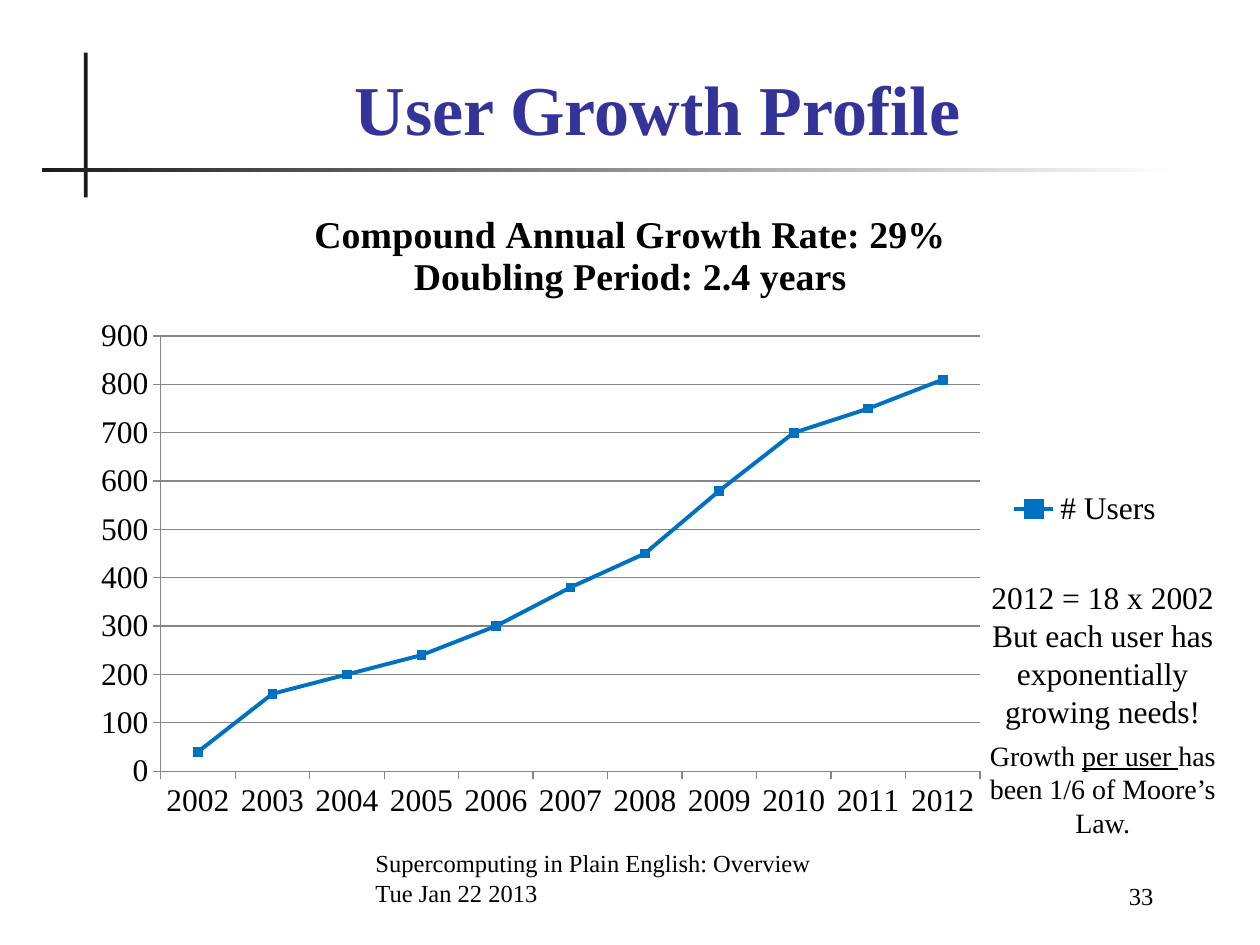
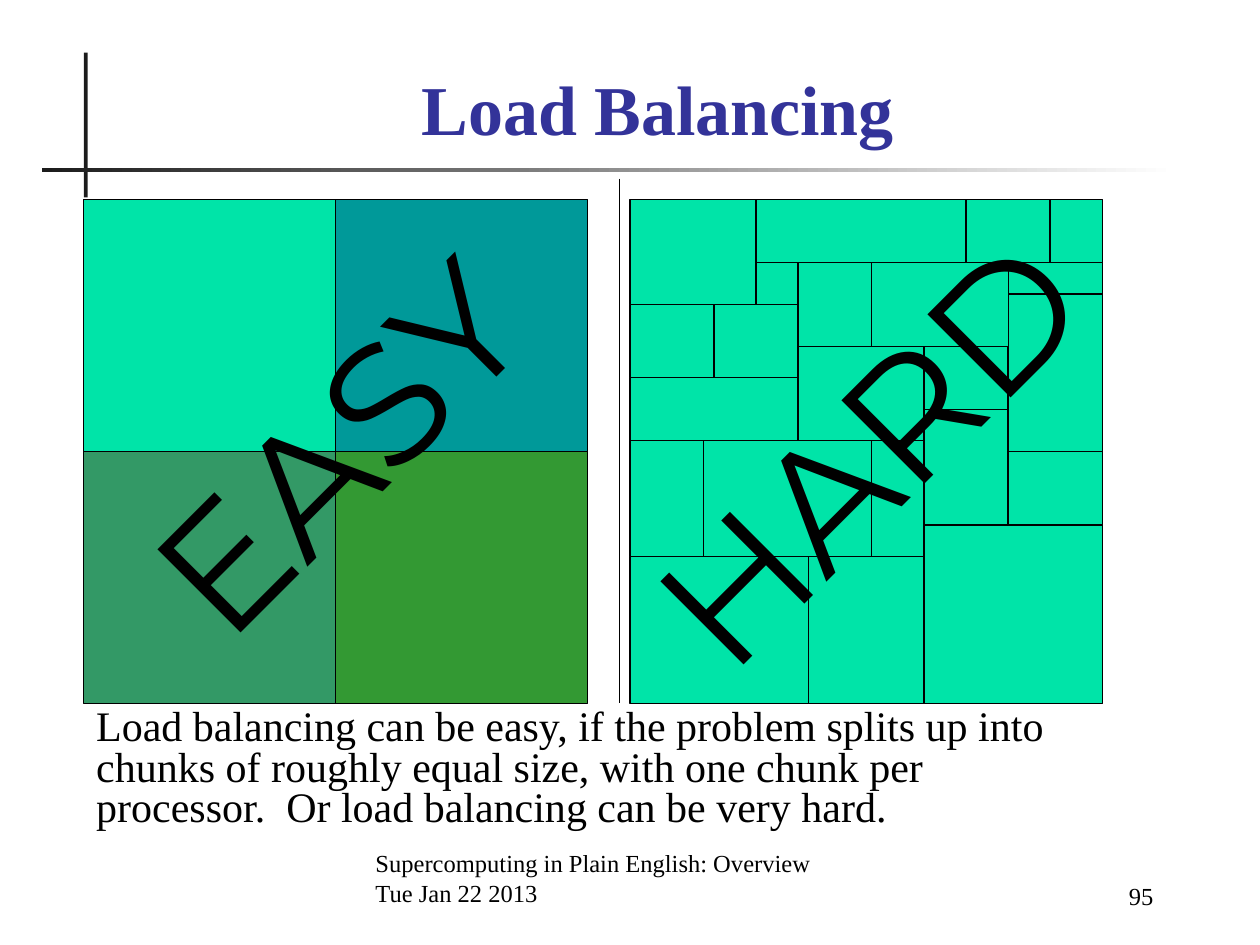
import pptx
import pptx.chart.data
import pptx.dml.color
import pptx.enum.chart
import pptx.enum.shapes
import pptx.enum.text
import pptx.oxml
import pptx.oxml.ns
import pptx.util
from pptx.util import Cm

COLORS = {
    "ink": "000000", "bar": "1C1C1C", "paper": "FFFFFF", "title": "333399",
    "users": "0070C0", "axis": "868686", "mint": "00E4A8", "teal": "009999",
    "sage": "339966", "green": "339933",
}
SERIF = "Times New Roman"
SANS = "Montserrat"
ALIGN = pptx.enum.text.PP_ALIGN
ANCHOR = pptx.enum.text.MSO_ANCHOR
RECT = pptx.enum.shapes.MSO_SHAPE.RECTANGLE
FOOTER = ["Supercomputing in Plain English: Overview", "Tue Jan 22 2013"]

USERS = {
    2002: 40, 2003: 160, 2004: 200, 2005: 240, 2006: 300, 2007: 380,
    2008: 450, 2009: 580, 2010: 700, 2011: 750, 2012: 810,
}
EASY_GRID = (24, 24)
EASY_COLORS = ["mint", "teal", "sage", "green"]
HARD_GRID = (45, 48)
HARD_CHUNKS = [
    (0, 0, 12, 10), (12, 0, 20, 6), (32, 0, 8, 6), (40, 0, 5, 6),
    (12, 6, 4, 4), (16, 6, 7, 8), (23, 6, 13, 8), (36, 6, 9, 3),
    (36, 9, 9, 15), (0, 10, 8, 7), (8, 10, 8, 7), (16, 14, 12, 9),
    (28, 14, 8, 6), (0, 17, 16, 6), (28, 20, 8, 11), (0, 23, 7, 11),
    (7, 23, 16, 11), (23, 23, 5, 11), (36, 24, 9, 7), (28, 31, 17, 17),
    (0, 34, 17, 14), (17, 34, 11, 14),
]


def rgb(name):
    """Return the named colour."""
    return pptx.dml.color.RGBColor.from_string(COLORS[name])


def style_font(font, size, color="ink", name=SERIF, bold=False):
    """Set the face, size, colour and weight of a font."""
    font.name, font.size, font.bold = name, pptx.util.Pt(size), bold
    font.color.rgb = rgb(color)


def add_rect(s, box, color, outlined=False):
    """Add a plain rectangle."""
    sp = s.shapes.add_shape(RECT, *box)
    sp.shadow.inherit = False
    sp.fill.solid()
    sp.fill.fore_color.rgb = rgb(color)
    if outlined:
        sp.line.color.rgb = rgb("ink")
        sp.line.width = pptx.util.Pt(0.75)
    else:
        sp.line.fill.background()
    return sp


def add_text(s, box, lines, size, align=ALIGN.LEFT, anchor=ANCHOR.TOP, name=SERIF):
    """Add a wrapping text box with one paragraph per line."""
    sp = s.shapes.add_textbox(*box)
    tf = sp.text_frame
    tf.word_wrap = True
    tf.vertical_anchor = anchor
    tf.text = "\n".join(lines)
    for p in tf.paragraphs:
        p.alignment = align
        style_font(p.font, size, name=name)
    return sp


def add_base_slide(prs, title, number):
    """Add a slide with the shared bars, title, footer and number."""
    s = prs.slides.add_slide(prs.slide_layouts[5])
    add_rect(s, (Cm(1.69), Cm(1.06), Cm(0.08), Cm(2.92)), "bar")
    rule = add_rect(s, (Cm(0.85), Cm(3.39), Cm(22.86), Cm(0.08)), "bar")
    rule.fill.gradient()
    rule.fill.gradient_angle = 0
    for stop, color in zip(rule.fill.gradient_stops, ("bar", "paper")):
        stop.color.rgb = rgb(color)

    sp = s.shapes.title
    sp.left, sp.top, sp.width, sp.height = Cm(2.12), Cm(1.27), Cm(22.28), Cm(1.88)
    tf = sp.text_frame
    tf.text = title
    tf.auto_size = pptx.enum.text.MSO_AUTO_SIZE.NONE
    tf.vertical_anchor = ANCHOR.BOTTOM
    p = tf.paragraphs[0]
    p.alignment = ALIGN.CENTER
    style_font(p.font, 40, "title", bold=True)

    add_text(s, (Cm(7.32), Cm(17.14), Cm(11.1), Cm(1.27)), FOOTER, 14,
             anchor=ANCHOR.BOTTOM)
    add_text(s, (Cm(19.9), Cm(17.2), Cm(3.6), Cm(1.27)), [str(number)], 14,
             ALIGN.RIGHT, ANCHOR.BOTTOM)
    return s


def set_plot_area(chart, x, y, w, h):
    """Fix the inner plot area as fractions of the chart."""
    area = chart._chartSpace.chart.plotArea
    for old in area.findall(pptx.oxml.ns.qn("c:layout")):
        area.remove(old)
    sizes = "".join(f'<c:{tag} val="{val}"/>' for tag, val in zip("xywh", (x, y, w, h)))
    area.insert(0, pptx.oxml.parse_xml(
        f'<c:layout {pptx.oxml.ns.nsdecls("c")}><c:manualLayout>'
        '<c:layoutTarget val="inner"/><c:xMode val="edge"/><c:yMode val="edge"/>'
        f'{sizes}</c:manualLayout></c:layout>'))


def add_users_chart(s, box):
    """Add the line chart of users per year."""
    data = pptx.chart.data.CategoryChartData()
    data.categories = [str(year) for year in USERS]
    data.add_series("# Users", USERS.values())
    kind = pptx.enum.chart.XL_CHART_TYPE.LINE_MARKERS
    chart = s.shapes.add_chart(kind, *box, data).chart
    style_font(chart.font, 18)

    chart.has_title = True
    tf = chart.chart_title.text_frame
    tf.text = "Compound Annual Growth Rate: 29%\nDoubling Period: 2.4 years"
    for p in tf.paragraphs:
        style_font(p.font, 21.6, bold=True)
    chart.chart_title.include_in_layout = False
    chart.has_legend = True
    chart.legend.position = pptx.enum.chart.XL_LEGEND_POSITION.RIGHT
    chart.legend.include_in_layout = False

    values = chart.value_axis
    values.minimum_scale, values.maximum_scale, values.major_unit = 0, 900, 100
    values.has_major_gridlines = True
    for line in (values.format.line, values.major_gridlines.format.line,
                 chart.category_axis.format.line):
        line.color.rgb = rgb("axis")
        line.width = pptx.util.Pt(0.75)
    for axis in (values, chart.category_axis):
        axis.major_tick_mark = pptx.enum.chart.XL_TICK_MARK.OUTSIDE

    chart.plots[0].vary_by_categories = False
    series = chart.plots[0].series[0]
    series.smooth = False
    series.format.line.color.rgb = rgb("users")
    series.format.line.width = pptx.util.Pt(2.25)
    marker = series.marker
    marker.style = pptx.enum.chart.XL_MARKER_STYLE.SQUARE
    marker.size = 5
    marker.format.fill.solid()
    marker.format.fill.fore_color.rgb = rgb("users")
    marker.format.line.color.rgb = rgb("users")
    set_plot_area(chart, 0.07, 0.23, 0.75, 0.68)


def add_growth_note(s, box):
    """Add the remark on growth beside the chart."""
    lines = ["2012 = 18 x 2002", "But each user has exponentially growing needs!", ""]
    tf = add_text(s, box, lines, 18, ALIGN.CENTER).text_frame
    p = tf.paragraphs[-1]
    p.space_before = pptx.util.Pt(5)
    style_font(p.font, 16)
    for text, underline in [("Growth ", False), ("per user ", True),
                            ("has been 1/6 of Moore’s Law.", False)]:
        r = p.add_run()
        r.text = text
        r.font.underline = underline


def add_chunks(s, box, grid, chunks):
    """Fill a box with chunks given as grid cells and a colour."""
    left, top, width, height = box
    cell_w, cell_h = width / grid[0], height / grid[1]
    for (x, y, w, h), color in chunks:
        add_rect(s, (round(left + x * cell_w), round(top + y * cell_h),
                     round(w * cell_w), round(h * cell_h)), color, outlined=True)


def add_divider(s, x, top, bottom):
    """Add the vertical line between the two squares."""
    line = s.shapes.add_connector(pptx.enum.shapes.MSO_CONNECTOR.STRAIGHT,
                                  x, top, x, bottom)
    line.line.color.rgb = rgb("ink")
    line.line.width = pptx.util.Pt(0.75)
    line._element.spPr.append(pptx.oxml.parse_xml(
        f'<a:effectLst {pptx.oxml.ns.nsdecls("a")}/>'))


def add_slanted_word(s, box, word):
    """Write a large word rising across a square."""
    sp = add_text(s, box, [word], 96, ALIGN.CENTER, name=SANS)
    sp.rotation = 315


def build_growth_slide(prs):
    """Build the slide on user growth."""
    s = add_base_slide(prs, "User Growth Profile", 33)
    add_users_chart(s, (Cm(1.7), Cm(3.81), Cm(22.02), Cm(12.9)))
    add_growth_note(s, (Cm(19.69), Cm(11.53), Cm(5.08), Cm(5.56)))


def build_balancing_slide(prs):
    """Build the slide on load balancing."""
    s = add_base_slide(prs, "Load Balancing", 95)
    top, side = Cm(4.02), Cm(10.16)
    quarters = [((i % 2 * 12, i // 2 * 12, 12, 12), color)
                for i, color in enumerate(EASY_COLORS)]
    add_chunks(s, (Cm(1.69), top, side, side), EASY_GRID, quarters)
    add_divider(s, Cm(12.49), Cm(3.6), top + side)
    add_chunks(s, (Cm(12.7), top, Cm(9.53), side), HARD_GRID,
               [(chunk, "mint") for chunk in HARD_CHUNKS])
    sp = add_text(s, (Cm(1.69), top + side, Cm(20.75), Cm(2.69)), [
        "Load balancing can be easy, if the problem splits up into chunks of "
        "roughly equal size, with one chunk per processor.  Or load balancing "
        "can be very hard."], 24)
    sp.text_frame.paragraphs[0].line_spacing = 0.8
    add_slanted_word(s, (Cm(1.27), Cm(6.78), Cm(11), Cm(4.32)), "EASY")
    add_slanted_word(s, (Cm(11.81), Cm(6.88), Cm(11.28), Cm(4.32)), "HARD")


def main():
    """Build and save the presentation."""
    prs = pptx.Presentation()
    prs.slide_width, prs.slide_height = Cm(25.4), Cm(19.05)
    build_growth_slide(prs)
    build_balancing_slide(prs)
    prs.save("out.pptx")


if __name__ == "__main__":
    main()
